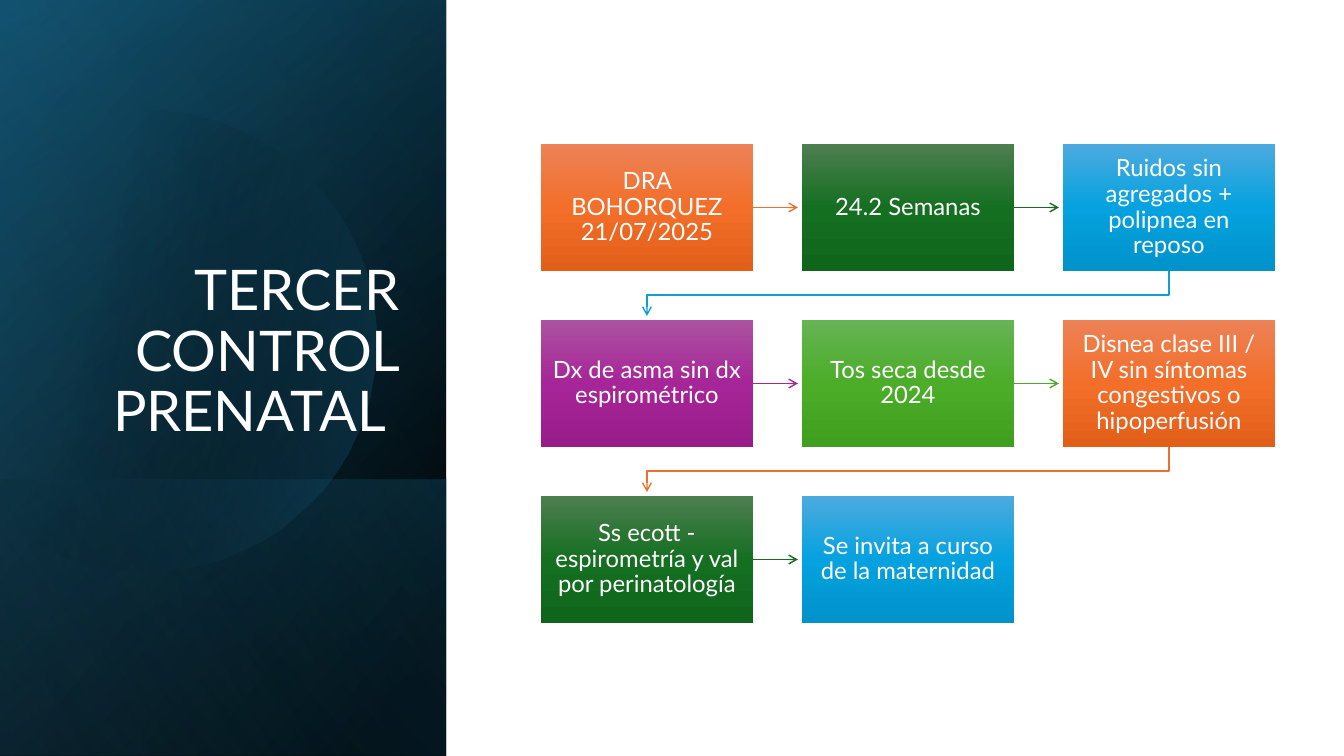
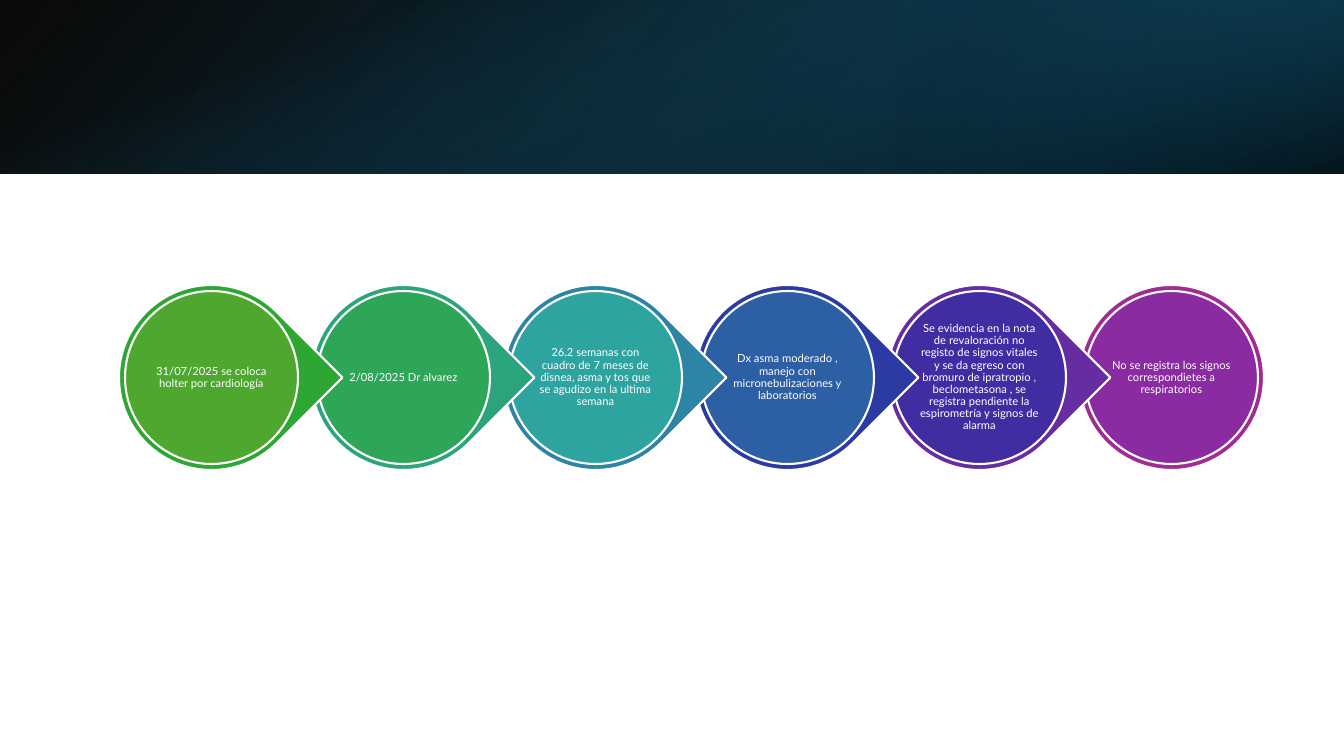
import math

from lxml import etree
from pptx import Presentation
from pptx.dml.color import RGBColor
from pptx.enum.shapes import MSO_CONNECTOR, MSO_SHAPE
from pptx.enum.text import MSO_ANCHOR, PP_ALIGN
from pptx.oxml.ns import qn
from pptx.util import Pt

PX = 914400 / 100.8
WIDTH, HEIGHT = 1344, 756
FONT = "Lato"

RECT, ELLIPSE, TEAR = MSO_SHAPE.RECTANGLE, MSO_SHAPE.OVAL, MSO_SHAPE.TEAR
STRAIGHT = MSO_CONNECTOR.STRAIGHT
CENTER, RIGHT = PP_ALIGN.CENTER, PP_ALIGN.RIGHT
MIDDLE, BOTTOM = MSO_ANCHOR.MIDDLE, MSO_ANCHOR.BOTTOM

WHITE = RGBColor(0xFF, 0xFF, 0xFF)
BLACK = RGBColor(0x00, 0x00, 0x00)
NAVY = RGBColor(0x10, 0x48, 0x62)
DEEP_NAVY = RGBColor(0x0B, 0x30, 0x41)
TEAL = RGBColor(0x15, 0x60, 0x82)
SKY = RGBColor(0x46, 0xB1, 0xE1)

# Arrow colour, then the top, middle and bottom colours of a box
ORANGE = [RGBColor.from_string(c) for c in ("E97132", "ED8257", "F26E29", "E25F1A")]
GREEN = [RGBColor.from_string(c) for c in ("196B24", "4D7E50", "156F21", "0F661B")]
BLUE = [RGBColor.from_string(c) for c in ("0F9ED5", "4CAADF", "05A2DF", "0092CB")]
PURPLE = [RGBColor.from_string(c) for c in ("A02B93", "AC53A0", "A62598", "991C8B")]
LIME = [RGBColor.from_string(c) for c in ("4EA72E", "66B354", "4BAD28", "409F1E")]


def add_box(slide, kind, area, text="", size=8, inset=(0, 0), align=CENTER, anchor=MIDDLE):
    """Add a preset shape, or a text box if kind is None; area is in px."""
    left, top, width, height = [round(value * PX) for value in area]
    if kind is None:
        box = slide.shapes.add_textbox(left, top, width, height)
    else:
        box = slide.shapes.add_shape(kind, left, top, width, height)
        box.shadow.inherit = False
        box.line.fill.background()
    if text:
        frame = box.text_frame
        frame.word_wrap = True
        frame.vertical_anchor = anchor
        frame.margin_left = frame.margin_right = round(inset[0] * PX)
        frame.margin_top = frame.margin_bottom = round(inset[1] * PX)
        para = frame.paragraphs[0]
        para.alignment = align
        para.line_spacing = 0.9
        span = para.add_run()
        span.text = text
        span.font.name = FONT
        span.font.size = Pt(size)
        span.font.color.rgb = WHITE
    return box


def fill_gradient(shape, stops, angle):
    """Fill with (position %, colour, opacity %) stops; angle is clockwise."""
    shape.fill.gradient()
    shape.fill.gradient_angle = (360 - angle) % 360
    stop_list = shape._element.spPr.find(qn("a:gradFill")).find(qn("a:gsLst"))
    for old_stop in list(stop_list):
        stop_list.remove(old_stop)
    for position, color, opacity in stops:
        stop = etree.SubElement(stop_list, qn("a:gs"), pos=str(position * 1000))
        rgb = etree.SubElement(stop, qn("a:srgbClr"), val=str(color))
        if opacity < 100:
            etree.SubElement(rgb, qn("a:alpha"), val=str(opacity * 1000))


deck = Presentation()
deck.slide_width, deck.slide_height = round(WIDTH * PX), round(HEIGHT * PX)
blank = deck.slide_layouts[6]

# Slide 1: side panel with a title, and a flow of boxes
flow = deck.slides.add_slide(blank)
PANEL_WIDTH = 446
panel = (0, 0, PANEL_WIDTH, HEIGHT)
for area, stops, angle in [
    (panel, [(8, BLACK, 100), (100, NAVY, 100)], 220),
    (panel, [(0, BLACK, 0), (99, TEAL, 46)], 240),
    ((0, 480, PANEL_WIDTH, 276), [(2, TEAL, 29), (100, BLACK, 30)], 140),
]:
    fill_gradient(add_box(flow, RECT, area), stops, angle)

# Disc cut off by the left edge of the slide
DISC_X, DISC_Y, DISC_RADIUS = 146, 341, 230
limit = math.acos(-DISC_X / DISC_RADIUS)
STEPS = 90
arc = []
for step in range(STEPS + 1):
    turn = limit * (2 * step / STEPS - 1)
    arc.append((DISC_X + DISC_RADIUS * math.cos(turn), DISC_Y + DISC_RADIUS * math.sin(turn)))
builder = flow.shapes.build_freeform(*arc[0], scale=PX)
builder.add_line_segments(arc[1:], close=True)
disc = builder.convert_to_shape()
disc.shadow.inherit = False
disc.line.fill.background()
fill_gradient(disc, [(29, BLACK, 0), (100, TEAL, 43)], 14)

fill_gradient(add_box(flow, RECT, panel), [(0, BLACK, 0), (99, SKY, 11)], 150)
add_box(flow, None, (65, 185, 344, 264), "TERCER CONTROL PRENATAL ", 40, (10, 5), RIGHT, BOTTOM)

FLOW_LEFT, FLOW_TOP = 541, 144
BOX_WIDTH, BOX_HEIGHT = 212, 127
PITCH_X, PITCH_Y = 261, 176
COLUMNS = 3
TIP_GAP = 4
steps = [
    ("DRA BOHORQUEZ 21/07/2025", ORANGE),
    ("24.2 Semanas", GREEN),
    ("Ruidos sin agregados + polipnea en reposo", BLUE),
    ("Dx de asma sin dx espirométrico", PURPLE),
    ("Tos seca desde 2024", LIME),
    ("Disnea clase III / IV sin síntomas congestivos o hipoperfusión", ORANGE),
    ("Ss ecott - espirometría y val por perinatología", GREEN),
    ("Se invita a curso de la maternidad", BLUE),
]
arrows = []
for index, (text, (arrow_color, *shades)) in enumerate(steps):
    row, column = divmod(index, COLUMNS)
    left, top = FLOW_LEFT + column * PITCH_X, FLOW_TOP + row * PITCH_Y
    box = add_box(flow, RECT, (left, top, BOX_WIDTH, BOX_HEIGHT), text, 17, (10, 11))
    fill_gradient(box, [(50 * i, shade, 100) for i, shade in enumerate(shades)], 90)
    if index == len(steps) - 1:
        continue
    if column < COLUMNS - 1:
        middle = round((top + BOX_HEIGHT / 2) * PX)
        tip = round((left + PITCH_X - TIP_GAP) * PX)
        arrow = flow.shapes.add_connector(STRAIGHT, box.left + box.width, middle, tip, middle)
        arrow.begin_connect(box, 3)
    else:
        start_x, end_x = left + BOX_WIDTH // 2, FLOW_LEFT + BOX_WIDTH // 2
        start_y, end_y = top + BOX_HEIGHT, top + PITCH_Y - TIP_GAP
        bend_y = (top + BOX_HEIGHT + top + PITCH_Y) // 2
        builder = flow.shapes.build_freeform(start_x, start_y, scale=PX)
        builder.add_line_segments([(start_x, bend_y), (end_x, bend_y), (end_x, end_y)], close=False)
        arrow = builder.convert_to_shape()
        arrow.fill.background()
    arrows.append((arrow, arrow_color))

for arrow, color in arrows:
    arrow.line.color.rgb = color
    arrow.line.width = Pt(1)
    properties = arrow._element.spPr
    etree.SubElement(properties.find(qn("a:ln")), qn("a:tailEnd"), type="arrow")
    etree.SubElement(properties, qn("a:effectLst"))

# Slide 2: top band and a chain of circles
chain = deck.slides.add_slide(blank)
BAND_HEIGHT = 174
band = (0, 0, WIDTH, BAND_HEIGHT)
for area, stops, angle in [
    (band, [(0, BLACK, 96), (100, NAVY, 100)], 40),
    ((896, 0, 448, BAND_HEIGHT), [(19, DEEP_NAVY, 68), (100, TEAL, 79)], 40),
    (band, [(23, TEAL, 0), (99, BLACK, 74)], 70),
]:
    fill_gradient(add_box(chain, RECT, area), stops, angle)

CHAIN_LEFT, CHAIN_TOP, CHAIN_PITCH = 119, 285, 192
RING, CIRCLE = 185, 173
EDGE = (RING - CIRCLE) // 2
events = [
    ("31/07/2025 se coloca holter por cardiología", "2EA633", "4EA72E"),
    ("2/08/2025 Dr alvarez", "2DA57C", "2DA657"),
    ("26.2 semanas con cuadro de 7 meses de disnea, asma y tos que se agudizo "
     "en la ultima semana", "2D84A4", "2DA4A0"),
    ("Dx asma moderado , manejo con micronebulizaciones y laboratorios", "2C3AA3", "2C5FA3"),
    ("Se evidencia en la nota de revaloración no registo de signos vitales y se da "
     "egreso con bromuro de ipratropio , beclometasona , se registra pendiente la "
     "espirometría y signos de alarma", "662CA1", "422CA2"),
    ("No se registra los signos correspondietes a respiratorios", "A02B93", "8A2BA1"),
]
# Drawn from the right, so that each point lies over the next circle
for index, (text, ring_color, circle_color) in reversed(list(enumerate(events))):
    left = CHAIN_LEFT + index * CHAIN_PITCH
    is_last = index == len(events) - 1
    ring = add_box(chain, ELLIPSE if is_last else TEAR, (left, CHAIN_TOP, RING, RING))
    ring.rotation = 0 if is_last else 45
    circle = add_box(chain, ELLIPSE, (left + EDGE, CHAIN_TOP + EDGE, CIRCLE, CIRCLE), text)
    for shape, color in ((ring, ring_color), (circle, circle_color)):
        shape.fill.solid()
        shape.fill.fore_color.rgb = RGBColor.from_string(color)
        shape.line.color.rgb = WHITE
        shape.line.width = Pt(1.5)

deck.save("out.pptx")
